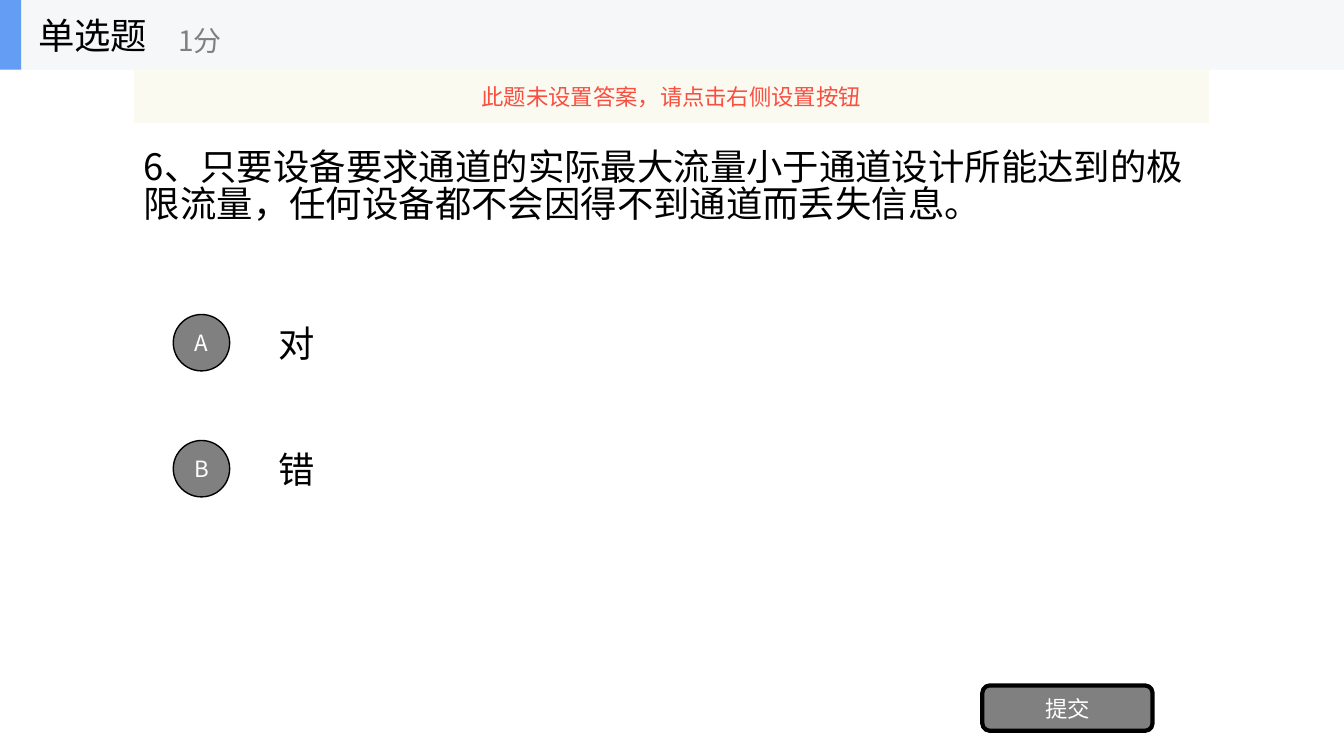
from pptx import Presentation
from pptx.dml.color import RGBColor
from pptx.enum import shapes, text
from pptx.oxml import parse_xml
from pptx.oxml.ns import nsdecls, qn
from pptx.util import Inches, Pt

QUESTION = "6、只要设备要求通道的实际最大流量小于通道设计所能达到的极限流量，任何设备都不会因得不到通道而丢失信息。"
OPTIONS = [("A", "对"), ("B", "错")]
HEADING = "单选题"
SCORE = "1分"
NOTICE = "此题未设置答案，请点击右侧设置按钮"
SUBMIT = "提交"

THEME = {
    "font": "Noto Sans CJK SC",
    "body": 26, "score": 20, "small": 16,
    "black": "000000", "white": "FFFFFF", "gray": "808080",
    "bar": "F6F7F8", "accent": "639EF4", "notice": "FBFAEF", "alert": "F84F41",
}
WIDTH, HEIGHT = 13.34, 7.5
BAR_HEIGHT = 0.69
CONTENT_LEFT, CONTENT_WIDTH = 1.33, 10.67
OPTION_TOP, OPTION_STEP, OPTION_HEIGHT = 3.05, 1.25, 0.7
BADGE_LEFT, BADGE_SIZE = 1.72, 0.56
ANSWER_LEFT, ANSWER_WIDTH = 2.67, 9.33

deck = Presentation()
deck.slide_width, deck.slide_height = Inches(WIDTH), Inches(HEIGHT)
slide = deck.slides.add_slide(deck.slide_layouts[6])


def write(owner, words, size, color, centered=False, spacing=None):
    frame = owner.text_frame
    frame.word_wrap = True
    frame.vertical_anchor = text.MSO_ANCHOR.MIDDLE
    line = frame.paragraphs[0]
    line.alignment = text.PP_ALIGN.CENTER if centered else text.PP_ALIGN.LEFT
    if spacing:
        line.line_spacing = spacing
    run = line.add_run()
    run.text = words
    run.font.size = Pt(THEME[size])
    run.font.color.rgb = RGBColor.from_string(THEME[color])
    run.font.name = THEME["font"]
    # Chinese characters take their typeface from a:ea
    run.font._element.find(qn("a:latin")).addnext(
        parse_xml(f'<a:ea {nsdecls("a")} typeface="{THEME["font"]}"/>'))


def add_label(box, words, size="body", color="black", spacing=None):
    label = slide.shapes.add_textbox(*map(Inches, box))
    write(label, words, size, color, spacing=spacing)


def add_block(kind, box, fill, border=None):
    block = slide.shapes.add_shape(kind, *map(Inches, box))
    block.shadow.inherit = False
    block.fill.solid()
    block.fill.fore_color.rgb = RGBColor.from_string(THEME[fill])
    if border:
        block.line.color.rgb = RGBColor.from_string(THEME["black"])
        block.line.width = Pt(border)
    else:
        block.line.fill.background()
    return block


add_label((CONTENT_LEFT, BAR_HEIGHT, CONTENT_WIDTH, 2.34), QUESTION, spacing=0.85)

for row, (letter, answer) in enumerate(OPTIONS):
    top = OPTION_TOP + row * OPTION_STEP
    add_label((ANSWER_LEFT, top, ANSWER_WIDTH, OPTION_HEIGHT), answer)
    badge_top = top + (OPTION_HEIGHT - BADGE_SIZE) / 2
    badge = add_block(shapes.MSO_SHAPE.OVAL,
                      (BADGE_LEFT, badge_top, BADGE_SIZE, BADGE_SIZE), "gray", 1)
    write(badge, letter, "small", "white", centered=True)

submit = add_block(shapes.MSO_SHAPE.ROUNDED_RECTANGLE, (9.75, 6.8, 1.69, 0.45), "gray", 3)
write(submit, SUBMIT, "small", "white", centered=True)

add_block(shapes.MSO_SHAPE.RECTANGLE, (0, 0, WIDTH, BAR_HEIGHT), "bar")
add_block(shapes.MSO_SHAPE.RECTANGLE, (0, 0, 0.21, BAR_HEIGHT), "accent")
add_label((0.28, 0, 2.08, BAR_HEIGHT), HEADING)
add_label((1.67, 0.12, 2.5, 0.56), SCORE, "score", "gray")

notice = add_block(shapes.MSO_SHAPE.RECTANGLE,
                   (CONTENT_LEFT, BAR_HEIGHT, CONTENT_WIDTH, 0.53), "notice")
notice_color = notice.fill._xPr.find(qn("a:solidFill"))[0]
notice_color.append(parse_xml(f'<a:alpha {nsdecls("a")} val="90000"/>'))
write(notice, NOTICE, "small", "alert", centered=True)

deck.save("out.pptx")
